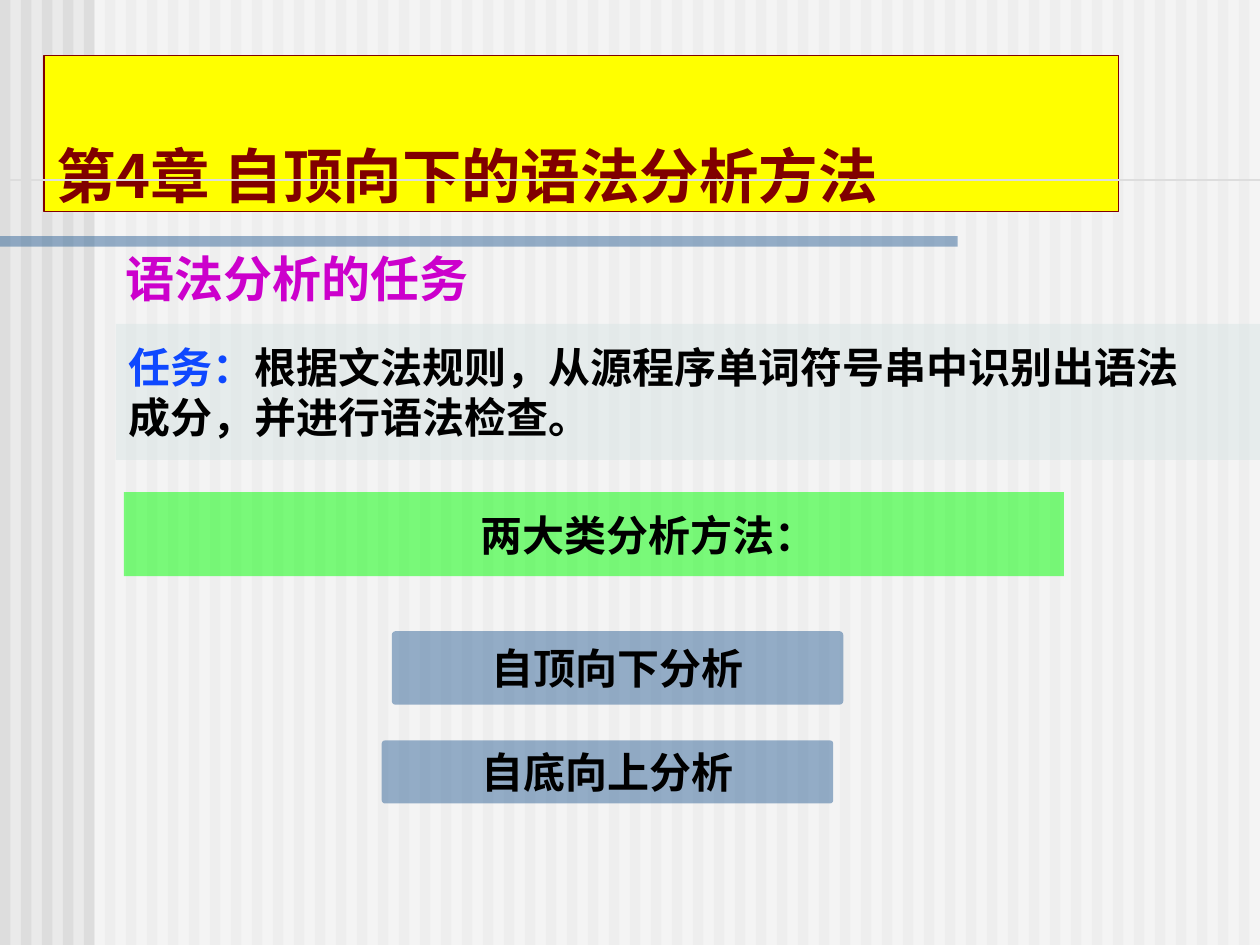
from lxml import etree
from pptx import Presentation
from pptx.dml.color import RGBColor
from pptx.enum.shapes import MSO_CONNECTOR, MSO_SHAPE
from pptx.enum.text import MSO_ANCHOR, PP_ALIGN
from pptx.oxml.ns import qn
from pptx.util import Inches, Pt

RECT, ROUNDED = MSO_SHAPE.RECTANGLE, MSO_SHAPE.ROUNDED_RECTANGLE
LEFT, CENTER = PP_ALIGN.LEFT, PP_ALIGN.CENTER
MIDDLE, BOTTOM = MSO_ANCHOR.MIDDLE, MSO_ANCHOR.BOTTOM
SANS, SERIF = "Noto Sans CJK SC", "Times New Roman"
COLORS = {
    "background": "EAEAEA", "stripe": "DDDDDD", "veil": "FFFFFF", "steel": "336699",
    "yellow": "FFFF00", "maroon": "800000", "mist": "D9E6E6", "green": "00FF00",
    "blue": "0F48FF", "black": "000000", "magenta": "CC00CC",
}
COLUMNS, ROWS = 60, 45

deck = Presentation()
deck.slide_width, deck.slide_height = Inches(10), Inches(7.5)
CELL = deck.slide_width / COLUMNS
slide = deck.slides.add_slide(deck.slide_layouts[6])
slide.background.fill.solid()
slide.background.fill.fore_color.rgb = RGBColor.from_string(COLORS["background"])


def add_panel(column, row, columns, rows, color=None, alpha=None, kind=RECT):
    place = [round(n * CELL) for n in (column, row, columns, rows)]
    if color is None:
        return slide.shapes.add_textbox(*place)
    panel = slide.shapes.add_shape(kind, *place)
    panel.shadow.inherit = False
    panel.line.fill.background()
    panel.fill.solid()
    panel.fill.fore_color.rgb = RGBColor.from_string(COLORS[color])
    if alpha:
        tint = panel.fill._xPr.find(".//" + qn("a:srgbClr"))
        etree.SubElement(tint, qn("a:alpha")).set("val", str(alpha * 1000))
    return panel


def write(panel, lines, size, font, align=LEFT, anchor=MIDDLE, indent=0.6):
    frame = panel.text_frame
    frame.word_wrap = True
    frame.vertical_anchor = anchor
    frame.margin_left = round(indent * CELL)
    for number, line in enumerate(lines):
        paragraph = frame.add_paragraph() if number else frame.paragraphs[0]
        paragraph.alignment = align
        for words, color in line:
            run = paragraph.add_run()
            run.text = words
            run.font.size, run.font.bold, run.font.name = Pt(size), True, font
            run.font.color.rgb = RGBColor.from_string(COLORS[color])
            etree.SubElement(run.font._element, qn("a:ea")).set("typeface", SANS)


for column in range(COLUMNS):
    add_panel(column, 0, 0.5, ROWS, "stripe")
add_panel(4.5, 0, COLUMNS - 4.5, ROWS, "veil", 50)
add_panel(0, 11.25, 45.6, 0.5, "steel", 50)

title = add_panel(2.1, 2.64, 51.18, 7.44, "yellow")
title.line.color.rgb = RGBColor.from_string(COLORS["maroon"])
title.line.width = Pt(0.75)
write(title, [[("第4章 自顶向下的语法分析方法", "maroon")]], 34, SANS, anchor=BOTTOM)
title.text_frame.margin_bottom = round(0.06 * CELL)

task = add_panel(5.52, 15.42, 54.48, 6.48, "mist", 50)
write(task, [
    [("任务：", "blue"), ("根据文法规则，从源程序单词符号串中识别出语法", "black")],
    [("成分，并进行语法检查。", "black")],
], 24, SERIF)

methods = add_panel(5.9, 23.44, 44.76, 4, "green", 50)
write(methods, [[("两大类分析方法：", "black")]], 24, SERIF, CENTER, indent=5.8)

for column, row, rows, method in [
    (18.66, 30.06, 3.5, "自顶向下分析"),
    (18.18, 35.26, 3, "自底向上分析"),
]:
    card = add_panel(column, row, 21.5, rows, "steel", 50, ROUNDED)
    card.adjustments[0] = 0.05
    write(card, [[(method, "black")]], 24, SERIF, CENTER)

heading = add_panel(3.06, 10.68, 36.9, 5.16)
write(heading, [[("语法分析的任务", "magenta")]], 28, SANS, indent=2.93)

rule_height = round(8.58 * CELL)
rule = slide.shapes.add_connector(
    MSO_CONNECTOR.STRAIGHT, 0, rule_height, deck.slide_width, rule_height)
rule.line.color.rgb = RGBColor.from_string(COLORS["stripe"])
rule.line.width = Pt(1)
etree.SubElement(rule._element.spPr, qn("a:effectLst"))

deck.save("out.pptx")
